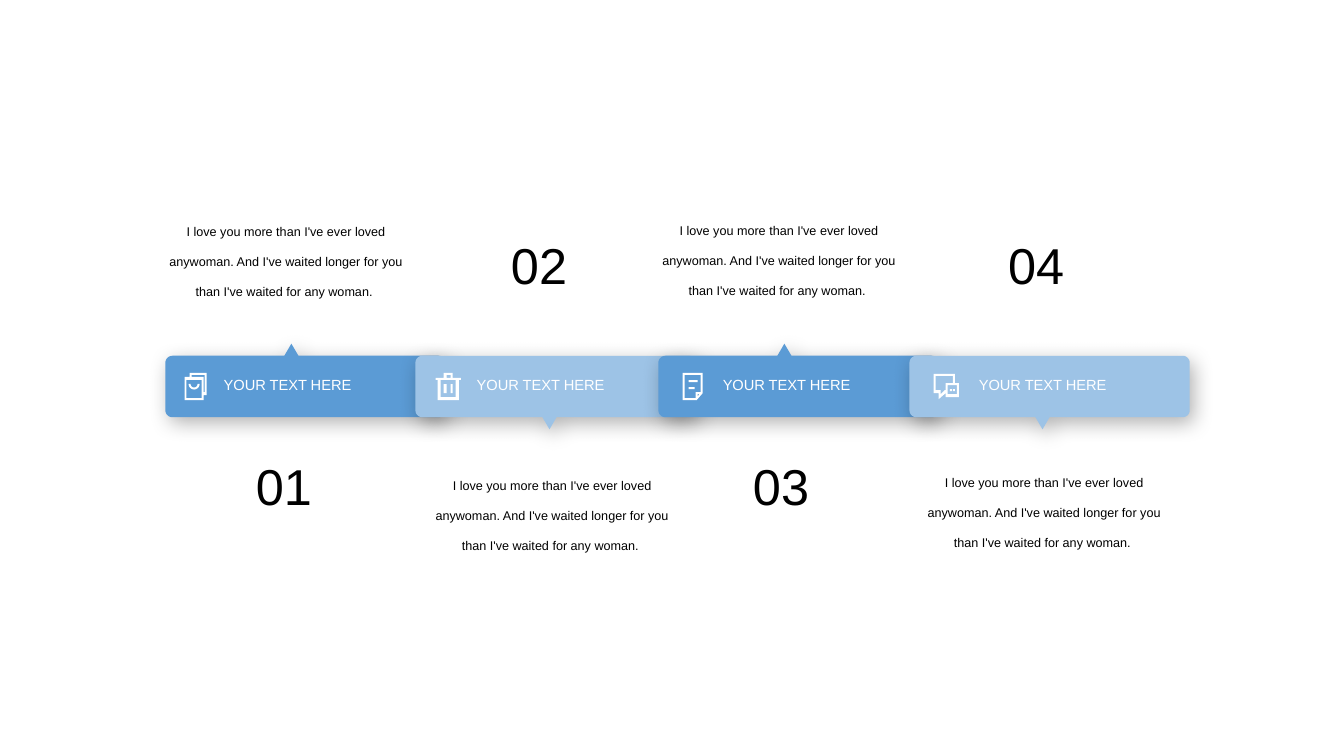
from math import cos, pi, sin

from lxml import etree
from pptx import Presentation
from pptx import util as u
from pptx.dml.color import RGBColor
from pptx.enum import shapes, text
from pptx.oxml import ns

BLUE = RGBColor(0x5B, 0x9B, 0xD5)
PALE = RGBColor(0x9D, 0xC3, 0xE6)
WHITE = RGBColor(0xFF, 0xFF, 0xFF)
BLACK = RGBColor(0, 0, 0)

WIDE, HIGH = 2.78, 0.61   # banner body
TOP = 3.53
ROUND = 0.07
TIP, HALF = 0.12, 0.07    # pointer height and half width
CELL = 0.01               # icon grid, in inches
QUOTE = ("I love you more than I've ever loved anywoman. And I've waited "
         "longer for you than I've waited for any woman. ")


def arc(x, y, r, start, end, steps=8):
    """Points on a circle; angles run clockwise from the right."""
    turns = [start + (end - start) * i / steps for i in range(steps + 1)]
    return [(x + r * cos(a), y + r * sin(a)) for a in turns]


# Each icon: outlines, then bars as (left, top, width, height), in cells
BAG = ([[(22, 0), (5, 0), (5, 4), (0, 4), (0, 27), (19, 27), (19, 22), (22, 22)],
        [(17, 25), (2, 25), (2, 7), (17, 7)],
        [(20, 19), (19, 19), (19, 4), (7, 4), (7, 2), (20, 2)],
        arc(9.5, 11, 5.5, 0, pi) + arc(9.5, 11, 3.5, pi, 0)], [])
BIN = ([[(25, 5), (17, 5), (17, 0), (8, 0), (8, 5), (0, 5), (0, 7), (2, 7),
         (2, 27), (23, 27), (23, 7), (25, 7)],
        [(11, 2), (15, 2), (15, 5), (11, 5)],
        [(20, 24), (5, 24), (5, 7), (20, 7)]],
       [(8, 11, 3, 9), (15, 11, 2, 9)])
NOTE = ([[(0, 0), (0, 27), (14, 27), (20, 20), (20, 0)],
         [(2, 2), (18, 2), (18, 19), (13, 19), (13, 25), (2, 25)],
         [(17, 21), (15, 23), (15, 21)]],
        [(6, 7, 9, 2), (6, 14, 6, 2)])
CHAT = ([[(21, 9), (21, 0), (0, 0), (0, 19), (5, 19), (5, 25), (12, 19),
          (12, 23), (25, 23), (25, 9)],
         [(11, 16), (7, 20), (7, 16), (2, 16), (2, 2), (19, 2), (19, 9),
          (12, 9), (12, 16)],
         [(23, 20), (14, 20), (14, 11), (23, 11)]],
        [(16, 15, 2, 2), (19, 15, 2, 2)])

# number, left, colour, points up, pointer, icon, icon/label/number/quote
# offsets from the left, quote top
CARDS = [
    ("01", 1.64, BLUE, True, 1.25, BAG, 0.19, 0.48, 0.80, -0.10, 2.02),
    ("02", 4.12, PALE, False, 1.33, BIN, 0.20, 0.51, 0.85, 0.06, 4.54),
    ("03", 6.53, BLUE, True, 1.25, NOTE, 0.24, 0.54, 0.84, -0.10, 2.01),
    ("04", 9.02, PALE, False, 1.32, CHAT, 0.24, 0.59, 0.88, 0.04, 4.51),
]


def paint(shape, color):
    shape.fill.solid()
    shape.fill.fore_color.rgb = color
    shape.line.fill.background()
    shape.shadow.inherit = False


def draw(slide, x, y, loops, color, unit=1):
    """Draw closed outlines as one shape, with x, y as their origin."""
    def place(loop):
        return [(u.Inches(x + a * unit), u.Inches(y + b * unit)) for a, b in loop]

    first, *rest = [place(loop) for loop in loops]
    pen = slide.shapes.build_freeform(*first[0])
    pen.add_line_segments(first[1:])
    for loop in rest:
        pen.move_to(*loop[0])
        pen.add_line_segments(loop[1:])
    shape = pen.convert_to_shape()
    paint(shape, color)
    return shape


def shade(shape):
    """Cast a soft shadow down and to the right."""
    glow = shape._element.spPr.find(ns.qn("a:effectLst"))
    cast = etree.SubElement(glow, ns.qn("a:outerShdw"), blurRad=str(u.Pt(15)),
                            dist=str(u.Pt(5)), dir=str(55 * 60000),
                            algn="tl", rotWithShape="0")
    tint = etree.SubElement(cast, ns.qn("a:srgbClr"), val=str(BLACK))
    etree.SubElement(tint, ns.qn("a:alpha"), val="30000")


def banner(slide, x, y, color, up, tip):
    r = ROUND
    edge = arc(r, r, r, pi, 1.5 * pi)
    if up:
        edge += [(tip - HALF, 0), (tip, -TIP), (tip + HALF, 0)]
    edge += arc(WIDE - r, r, r, -pi / 2, 0)
    edge += arc(WIDE - r, HIGH - r, r, 0, pi / 2)
    if not up:
        edge += [(tip + HALF, HIGH), (tip, HIGH + TIP), (tip - HALF, HIGH)]
    edge += arc(r, HIGH - r, r, pi / 2, pi)
    shade(draw(slide, x, y, [edge], color))


def badge(slide, x, y, icon):
    """Draw an icon, centred in the height of the banner at y."""
    loops, bars = icon
    y += (HIGH - max(b for a, b in loops[0]) * CELL) / 2
    draw(slide, x, y, loops, WHITE, CELL)
    for a, b, w, h in bars:
        box = [u.Inches(n) for n in (x + a * CELL, y + b * CELL, w * CELL, h * CELL)]
        paint(slide.shapes.add_shape(shapes.MSO_SHAPE.RECTANGLE, *box), WHITE)


def write(slide, x, y, w, h, words, size, color, wrap=False):
    box = slide.shapes.add_textbox(*[u.Inches(n) for n in (x, y, w, h)])
    frame = box.text_frame
    frame.word_wrap = wrap
    frame.auto_size = text.MSO_AUTO_SIZE.SHAPE_TO_FIT_TEXT
    para = frame.paragraphs[0]
    para.text = words
    para.font.name = "Arial"
    para.font.size = u.Pt(size)
    para.font.color.rgb = color
    return para


def card(slide, num, x, color, up, tip, icon, pic, label, digit, quote, top):
    banner(slide, x, TOP, color, up, tip)
    badge(slide, x + pic, TOP, icon)
    write(slide, x + label, TOP + 0.15, 1.49, 0.28, "YOUR TEXT HERE", 10.5, WHITE)
    write(slide, x + digit, 4.47 if up else 2.27, 0.76, 0.71, num, 36, BLACK)
    para = write(slide, x + quote, top, 2.59, 0.96, QUOTE, 9, BLACK, True)
    para.alignment = text.PP_ALIGN.CENTER
    para.line_spacing = 2.0


def main():
    deck = Presentation()
    deck.slide_width, deck.slide_height = u.Inches(13.33), u.Inches(7.5)
    slide = deck.slides.add_slide(deck.slide_layouts[6])
    for item in CARDS:
        card(slide, *item)
    deck.save("out.pptx")


if __name__ == "__main__":
    main()
